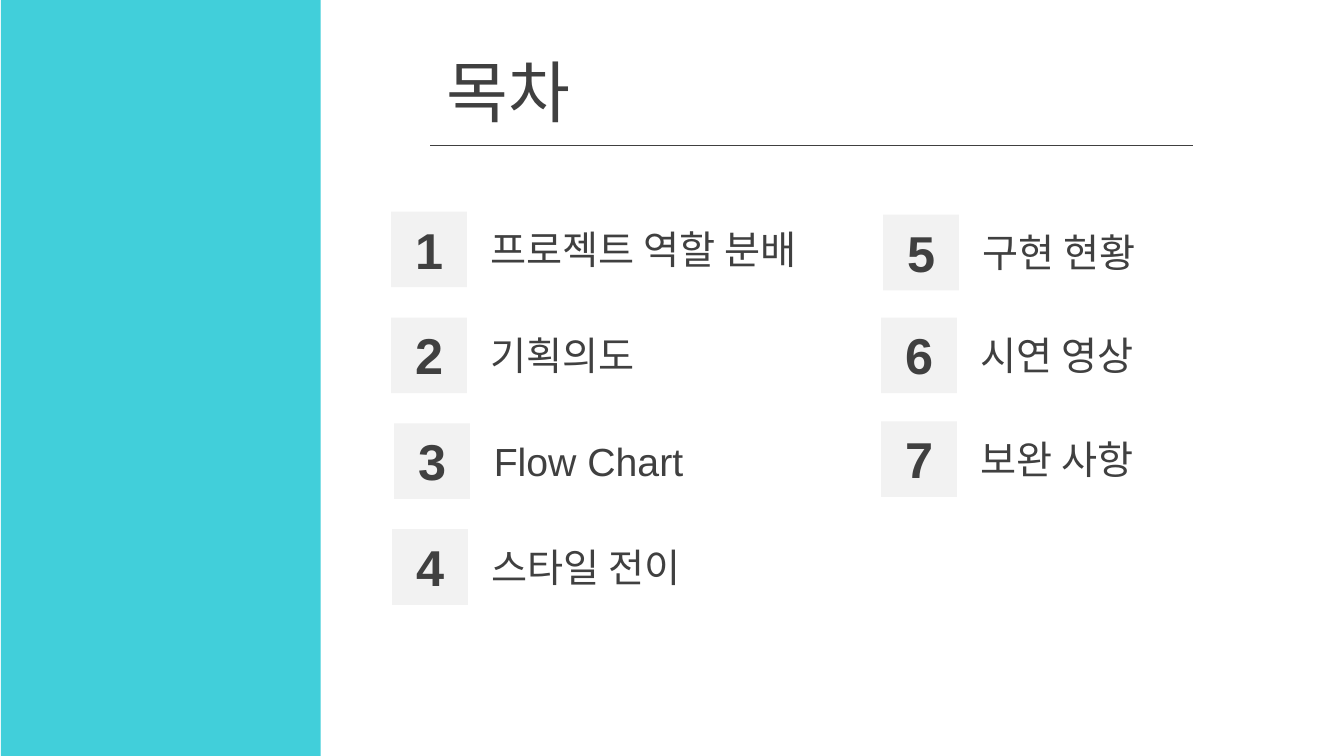
from dataclasses import dataclass

from lxml import etree
from pptx import Presentation
from pptx import util as u
from pptx.dml.color import RGBColor
from pptx.enum import shapes, text
from pptx.oxml.ns import qn

PX = 9144  # 100 px to the inch


@dataclass(frozen=True)
class Theme:
    font: str = "Arial"
    ink: str = "404040"
    tile: str = "F2F2F2"
    accent: str = "41CFDA"
    paper: str = "FFFFFF"
    title_size: int = 48
    number_size: int = 36
    label_size: int = 28


THEME = Theme()

# Left and top of each numbered entry, with its label
AGENDA = [
    (388, 210, "프로젝트 역할 분배"),
    (388, 315, "기획의도"),
    (391, 420, "Flow Chart"),
    (389, 525, "스타일 전이"),
    (876, 213, "구현 현황"),
    (874, 315, "시연 영상"),
    (874, 418, "보완 사항"),
]


def px(*lengths):
    return [u.Emu(n * PX) for n in lengths]


def rgb(color):
    return RGBColor.from_string(color)


def add_rect(parent, box, color):
    sp = parent.add_shape(shapes.MSO_SHAPE.RECTANGLE, *px(*box))
    sp.shadow.inherit = False
    sp.fill.solid()
    sp.fill.fore_color.rgb = rgb(color)
    sp.line.fill.background()
    return sp


def write(sp, words, size, align=text.PP_ALIGN.LEFT, bold=False, wrap=True):
    tf = sp.text_frame
    tf.word_wrap = wrap
    tf.vertical_anchor = text.MSO_ANCHOR.TOP
    p = tf.paragraphs[0]
    p.alignment = align
    r = p.add_run()
    r.text = words
    r.font.name = THEME.font
    r.font.size = u.Pt(size)
    r.font.bold = bold
    r.font.color.rgb = rgb(THEME.ink)


def add_heading(slide, box):
    x, y, w, h = box
    # Title
    title = slide.shapes.title
    title.left, title.top, title.width, title.height = px(x + 6, y, 366, h - 8)
    title.fill.solid()
    title.fill.fore_color.rgb = rgb(THEME.paper)
    write(title, "목차", THEME.title_size)
    title.text_frame.auto_size = text.MSO_AUTO_SIZE.NONE
    # Rule under the title
    rule = slide.shapes.add_connector(
        shapes.MSO_CONNECTOR.STRAIGHT, *px(x, y + h, x + w, y + h))
    rule.line.color.rgb = rgb(THEME.ink)
    rule.line.width = u.Pt(0.5)
    etree.SubElement(rule._element.spPr, qn("a:effectLst"))


def add_entry(slide, box, number, label):
    x, y, w, h = box
    group = slide.shapes.add_group_shape().shapes
    # Tile with its number
    add_rect(group, (x, y, h, h), THEME.tile)
    digit = group.add_textbox(*px(x + 13, y + 2, 49, 71))
    write(digit, str(number), THEME.number_size,
          text.PP_ALIGN.CENTER, bold=True, wrap=False)
    # Label
    caption = group.add_textbox(*px(x + 89, y + 9, w - 89, 57))
    write(caption, label, THEME.label_size)


def add_agenda_slide(prs):
    slide = prs.slides.add_slide(prs.slide_layouts[5])
    # Side band
    add_rect(slide.shapes, (1, 0, 317, 750), THEME.accent)
    add_heading(slide, (427, 45, 756, 99))
    # Numbered entries
    for number, (x, y, label) in enumerate(AGENDA, 1):
        add_entry(slide, (x, y, 445, 75), number, label)


def main():
    prs = Presentation()
    prs.slide_width, prs.slide_height = px(1333, 750)
    add_agenda_slide(prs)
    prs.save("out.pptx")


if __name__ == "__main__":
    main()
